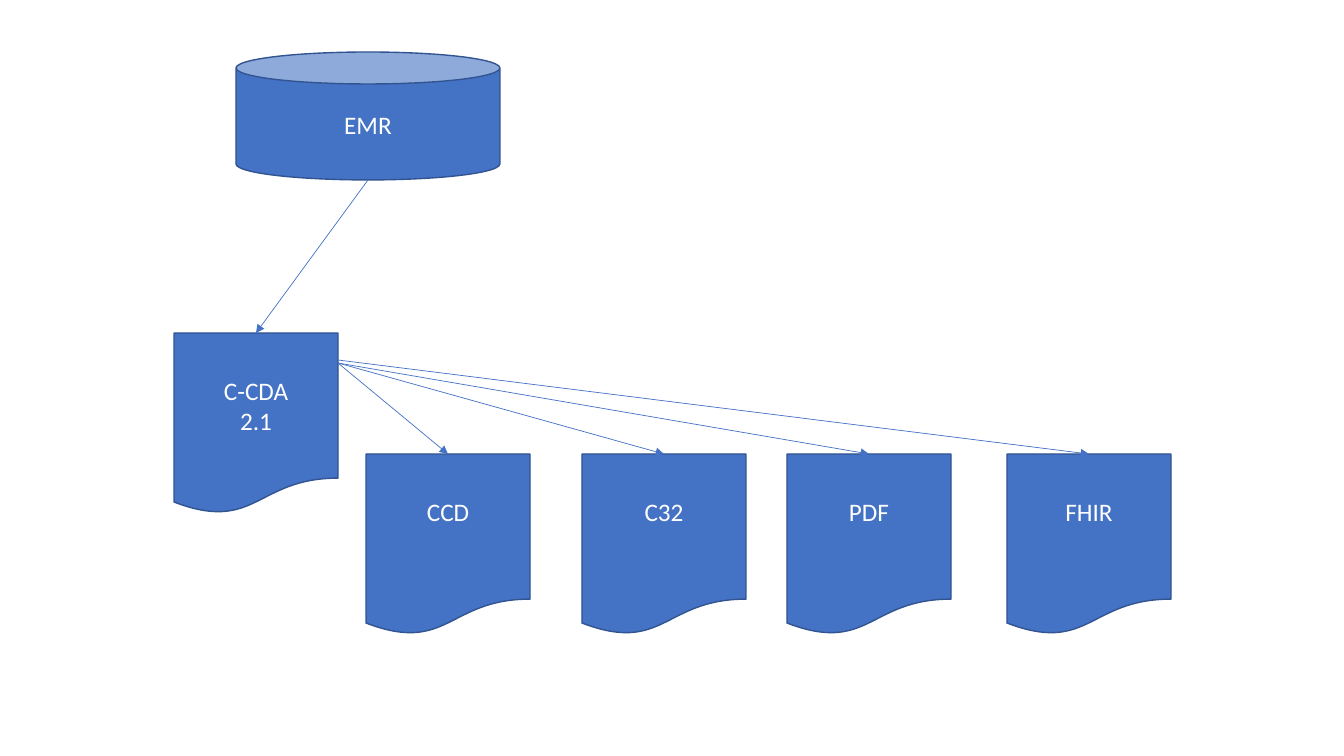
from dataclasses import dataclass

from lxml import etree
from pptx import Presentation
from pptx.dml.color import RGBColor
from pptx.enum.shapes import MSO_CONNECTOR, MSO_SHAPE
from pptx.enum.text import MSO_ANCHOR, PP_ALIGN
from pptx.oxml.ns import qn
from pptx.util import Pt

CAN = MSO_SHAPE.CAN
DOCUMENT = MSO_SHAPE.FLOWCHART_DOCUMENT
STRAIGHT = MSO_CONNECTOR.STRAIGHT
MIDDLE = MSO_ANCHOR.MIDDLE
CENTER = PP_ALIGN.CENTER

EMU_PER_PX = 914400 / 100.8
TOP_SIDE = 0


def px(length):
    return round(length * EMU_PER_PX)


@dataclass(frozen=True)
class Theme:
    fill: RGBColor = RGBColor(0x44, 0x72, 0xC4)
    outline: RGBColor = RGBColor(0x32, 0x54, 0x91)
    text: RGBColor = RGBColor(0xFF, 0xFF, 0xFF)
    font: str = "Calibri"
    text_size: int = 18
    outline_width: float = 1
    arrow_width: float = 0.5


def write_text(frame, text, *, font, size, color, bottom_inset):
    frame.word_wrap = True
    frame.vertical_anchor = MIDDLE
    frame.margin_bottom = px(bottom_inset)
    frame.text = text
    for paragraph in frame.paragraphs:
        paragraph.alignment = CENTER
        paragraph.font.name = font
        paragraph.font.size = Pt(size)
        paragraph.font.color.rgb = color


class Diagram:
    def __init__(self, slide, theme):
        self.slide = slide
        self.theme = theme

    def node(self, kind, text, left, top, width, height, bottom_inset=5):
        theme = self.theme
        node = self.slide.shapes.add_shape(
            kind, px(left), px(top), px(width), px(height))
        node.shadow.inherit = False
        node.fill.solid()
        node.fill.fore_color.rgb = theme.fill
        node.line.color.rgb = theme.outline
        node.line.width = Pt(theme.outline_width)
        write_text(node.text_frame, text, font=theme.font, size=theme.text_size,
                   color=theme.text, bottom_inset=bottom_inset)
        return node

    def document(self, text, left, top, bottom_inset=5):
        return self.node(DOCUMENT, text, left, top, 164, 181, bottom_inset)

    def arrow(self, start_x, start_y, target):
        """Draw an arrow from a point to the middle of the target's top side."""
        arrow = self.slide.shapes.add_connector(
            STRAIGHT, px(start_x), px(start_y), target.left, target.top)
        arrow.end_connect(target, TOP_SIDE)
        arrow.line.color.rgb = self.theme.fill
        arrow.line.width = Pt(self.theme.arrow_width)
        etree.SubElement(arrow.line._get_or_add_ln(), qn("a:tailEnd"), type="triangle")
        etree.SubElement(arrow._element.spPr, qn("a:effectLst"))


def main():
    prs = Presentation()
    prs.slide_width, prs.slide_height = px(1344), px(756)
    blank_layout = prs.slide_layouts[6]
    diagram = Diagram(prs.slides.add_slide(blank_layout), Theme())

    # Source system and its clinical document
    diagram.node(CAN, "EMR", 236, 52, 264, 128)
    ccda = diagram.document("C-CDA\n2.1", 174, 333)
    diagram.arrow(368, 180, ccda)

    # Formats derived from the clinical document
    formats = [("CCD", 366, 363), ("C32", 582, 363),
               ("PDF", 787, 363), ("FHIR", 1007, 360)]
    for name, left, arrow_y in formats:
        output = diagram.document(name, left, 454, bottom_inset=36)
        diagram.arrow(338, arrow_y, output)

    prs.save("out.pptx")


if __name__ == "__main__":
    main()
